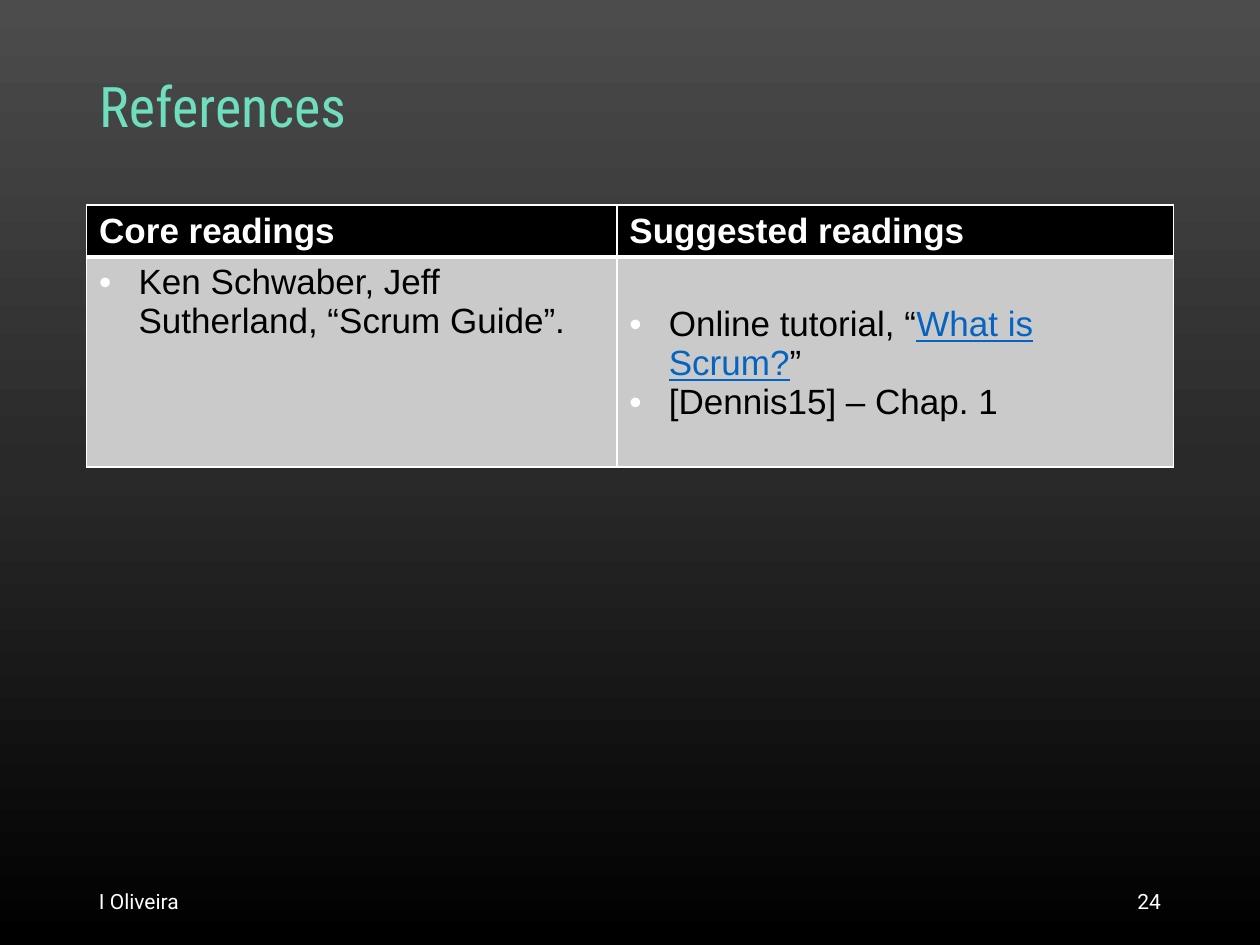
from copy import deepcopy

from lxml import etree
from pptx import Presentation
from pptx.dml.color import RGBColor
from pptx.enum.text import MSO_ANCHOR, MSO_AUTO_SIZE, PP_ALIGN
from pptx.oxml.ns import qn
from pptx.util import Pt

MIDDLE = MSO_ANCHOR.MIDDLE
NO_AUTOFIT = MSO_AUTO_SIZE.NONE
LEFT, RIGHT = PP_ALIGN.LEFT, PP_ALIGN.RIGHT
TITLE_ONLY = 5

WHITE, BLACK, GRAY = "FFFFFF", "000000", "CACACA"
MINT, LINK_BLUE = "6EDEBF", "0563C1"
BACKDROP = [(0, "4C4C4C"), (0.5, "292929"), (1, BLACK)]

HEADERS = ["Core readings", "Suggested readings"]
READINGS = [
    [["Ken Schwaber, Jeff Sutherland, “Scrum Guide”."]],
    [["Online tutorial, “", "What is Scrum?", "”"], ["[Dennis15] – Chap. 1"]],
]
LINKS = {"What is Scrum?"}
READING_TOP_MARGINS = [3.6, 27.6]


def color(value):
    return RGBColor.from_string(value)


def style(run, size, font, ink, bold=False):
    run.font.size = Pt(size)
    run.font.name = font
    run.font.color.rgb = color(ink)
    run.font.bold = bold


def paint_background(slide):
    fill = slide.background.fill
    fill.gradient()
    fill.gradient_angle = 270
    first_stop = next(slide.element.iter(qn("a:gs")))
    first_stop.addnext(deepcopy(first_stop))
    for stop, (position, shade) in zip(fill.gradient_stops, BACKDROP):
        stop.position = position
        stop.color.rgb = color(shade)


def place_title(slide, left, top, width, height):
    title = slide.shapes.title
    title.left, title.top, title.width, title.height = map(Pt, (left, top, width, height))
    frame = title.text_frame
    frame.text = "References"
    frame.auto_size = NO_AUTOFIT
    frame.vertical_anchor = MIDDLE
    heading = frame.paragraphs[0]
    heading.alignment = LEFT
    heading.line_spacing = 0.9
    style(heading.runs[0], 32, "Roboto Condensed", MINT)


def set_borders(cell, **widths):
    properties = cell._tc.get_or_add_tcPr()
    for side in "LRTB":
        line = etree.SubElement(properties, qn(f"a:ln{side}"), w=str(Pt(widths.get(side, 1))))
        solid = etree.SubElement(line, qn("a:solidFill"))
        etree.SubElement(solid, qn("a:srgbClr"), val=WHITE)


def fill_cell(cell, shade):
    cell.fill.solid()
    cell.fill.fore_color.rgb = color(shade)


def add_bullet(paragraph, indent=22.5):
    properties = paragraph._p.get_or_add_pPr()
    properties.set("marL", str(Pt(indent)))
    properties.set("indent", str(-Pt(indent)))
    bullet_color = etree.SubElement(properties, qn("a:buClr"))
    etree.SubElement(bullet_color, qn("a:srgbClr"), val=WHITE)
    etree.SubElement(properties, qn("a:buFont"), typeface="Arial")
    etree.SubElement(properties, qn("a:buChar"), char="•")


def write_readings(cell, readings):
    frame = cell.text_frame
    for index, pieces in enumerate(readings):
        entry = frame.add_paragraph() if index else frame.paragraphs[0]
        add_bullet(entry)
        for piece in pieces:
            run = entry.add_run()
            run.text = piece
            is_link = piece in LINKS
            style(run, 20, "Arial", LINK_BLUE if is_link else BLACK)
            run.font.underline = is_link


def place_readings(slide, left, top, column_widths, row_heights):
    table = slide.shapes.add_table(
        2, 2, Pt(left), Pt(top), Pt(sum(column_widths)), Pt(sum(row_heights))
    ).table
    table.horz_banding = False
    for row, height in zip(table.rows, row_heights):
        row.height = Pt(height)
    for index, width in enumerate(column_widths):
        table.columns[index].width = Pt(width)

        header = table.cell(0, index)
        header.text_frame.text = HEADERS[index]
        style(header.text_frame.paragraphs[0].runs[0], 20, "Arial", WHITE, bold=True)
        set_borders(header, B=3)
        fill_cell(header, BLACK)

        body = table.cell(1, index)
        body.margin_top = Pt(READING_TOP_MARGINS[index])
        write_readings(body, READINGS[index])
        set_borders(body, T=3)
        fill_cell(body, GRAY)


def place_footer(slide, left, top, width, height):
    number_width = 162
    parts = [
        ("I Oliveira", left, 432, LEFT),
        ("24", left + width - number_width, number_width, RIGHT),
    ]
    for wording, part_left, part_width, alignment in parts:
        frame = slide.shapes.add_textbox(
            Pt(part_left), Pt(top), Pt(part_width), Pt(height)
        ).text_frame
        frame.word_wrap = True
        frame.vertical_anchor = MIDDLE
        frame.text = wording
        frame.paragraphs[0].alignment = alignment
        style(frame.paragraphs[0].runs[0], 12, "Roboto", WHITE)


def main():
    deck = Presentation()
    deck.slide_width, deck.slide_height = Pt(720), Pt(540)
    slide = deck.slides.add_slide(deck.slide_layouts[TITLE_ONLY])
    margin, content_width = 49.5, 621
    paint_background(slide)
    place_title(slide, margin, 28.75, content_width, 67)
    place_readings(slide, margin, 117.25, [303, 318], [29.5, 120])
    place_footer(slide, margin, 500.5, content_width, 28.75)
    deck.save("out.pptx")


if __name__ == "__main__":
    main()
